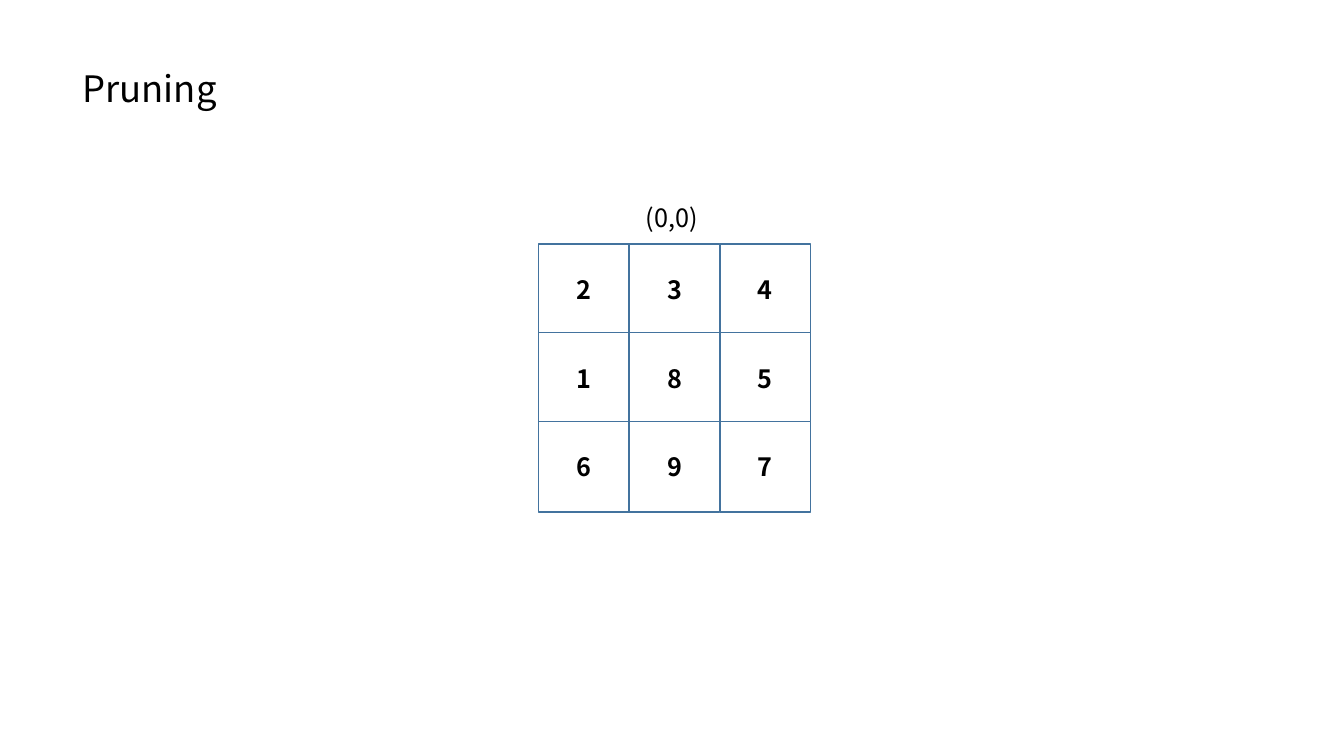
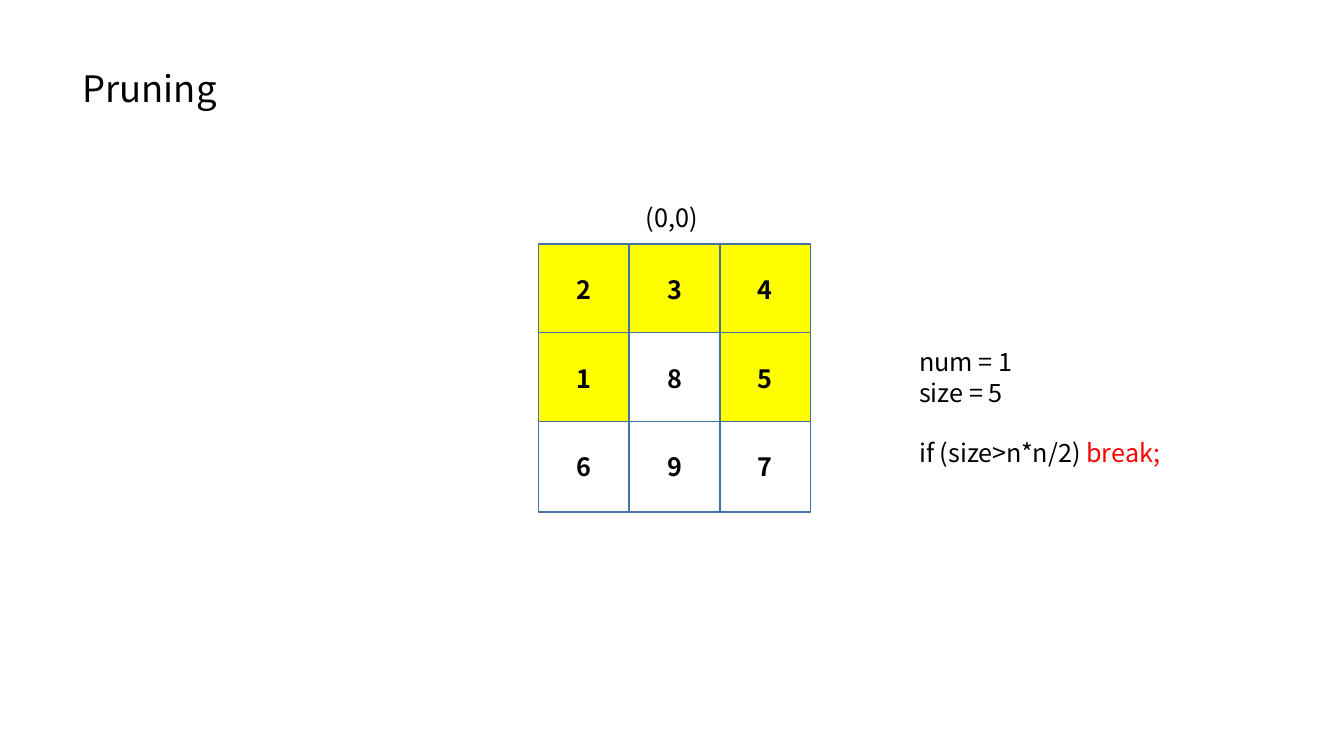
from collections import namedtuple
from dataclasses import dataclass

from pptx import Presentation
from pptx import util as u
from pptx.dml.color import RGBColor
from pptx.enum import shapes, text


@dataclass(frozen=True)
class Theme:
    font: str = "Noto Sans CJK KR"
    ink: str = "000000"
    plain: str = "FFFFFF"
    visited: str = "FFFF00"
    border: str = "43739E"
    alert: str = "FF0000"
    title_size: int = 26
    body_size: int = 18
    border_width: int = 1
    blank_line: float = 21.6


THEME = Theme()
Box = namedtuple("Box", "left top width height")

WIDTH, HEIGHT = u.Inches(13.33), u.Inches(7.5)
COLUMN, ROW = WIDTH / 100, HEIGHT / 100

TITLE_BOX = Box(5.4, 8.13, 12.23, 7.2)
BOARD_BOX = Box(40.06, 32.27, 20.25, 35.2)
CODE_BOX = Box(67.65, 45.2, 19.95, 25.6)

NUMBERS = ((2, 3, 4), (1, 8, 5), (6, 9, 7))
VISITED = {2, 3, 4, 1, 5}
CODE = (
    (("num = 1", THEME.ink),),
    (("size = 5", THEME.ink),),
    (("if (size>n*n/2) ", THEME.ink), ("break;", THEME.alert)),
)


def place(box):
    return (
        round(box.left * COLUMN),
        round(box.top * ROW),
        round(box.width * COLUMN),
        round(box.height * ROW),
    )


def apply_format(target, values):
    for name, value in values.items():
        setattr(target, name, value)


def add_span(para, words, size=THEME.body_size, color=THEME.ink, bold=False):
    span = para.add_run()
    span.text = words
    apply_format(span.font, {"name": THEME.font, "size": u.Pt(size), "bold": bold})
    span.font.color.rgb = RGBColor.from_string(color)


def add_text_frame(page, box, wrap=True):
    frame = page.shapes.add_textbox(*place(box)).text_frame
    apply_format(frame, {
        "word_wrap": wrap,
        "auto_size": text.MSO_AUTO_SIZE.SHAPE_TO_FIT_TEXT,
    })
    return frame


def add_title(page, box, words):
    frame = add_text_frame(page, box)
    add_span(frame.paragraphs[0], words, size=THEME.title_size)


def add_cell(page, box, number, fill):
    cell = page.shapes.add_shape(shapes.MSO_SHAPE.RECTANGLE, *place(box))
    cell.shadow.inherit = False
    cell.fill.solid()
    cell.fill.fore_color.rgb = RGBColor.from_string(fill)
    cell.line.color.rgb = RGBColor.from_string(THEME.border)
    cell.line.width = u.Pt(THEME.border_width)
    cell.text_frame.vertical_anchor = text.MSO_ANCHOR.MIDDLE
    para = cell.text_frame.paragraphs[0]
    para.alignment = text.PP_ALIGN.CENTER
    add_span(para, str(number), bold=True)


def add_board(page, box, visited):
    step_x, step_y = box.width / 3, box.height / 3
    for row, numbers in enumerate(NUMBERS):
        for column, number in enumerate(numbers):
            cell_box = Box(
                box.left + column * step_x, box.top + row * step_y, step_x, 12
            )
            fill = THEME.visited if number in visited else THEME.plain
            add_cell(page, cell_box, number, fill)
    label_box = Box(box.left + 7.27, box.top - 6.14, 5.7, 5.33)
    label = add_text_frame(page, label_box, wrap=False)
    add_span(label.paragraphs[0], "(0,0)")


def add_code(page, box, lines):
    frame = add_text_frame(page, box)
    for index, line in enumerate(lines):
        para = frame.add_paragraph() if index else frame.paragraphs[0]
        for words, color in line:
            add_span(para, words, color=color)
    para.space_before = u.Pt(THEME.blank_line)


def add_pruning_page(deck, visited=(), code=()):
    page = deck.slides.add_slide(deck.slide_layouts[6])
    add_board(page, BOARD_BOX, visited)
    if code:
        add_code(page, CODE_BOX, code)
    add_title(page, TITLE_BOX, "Pruning")


def main():
    deck = Presentation()
    apply_format(deck, {"slide_width": WIDTH, "slide_height": HEIGHT})
    add_pruning_page(deck)
    add_pruning_page(deck, VISITED, CODE)
    deck.save("out.pptx")


if __name__ == "__main__":
    main()
